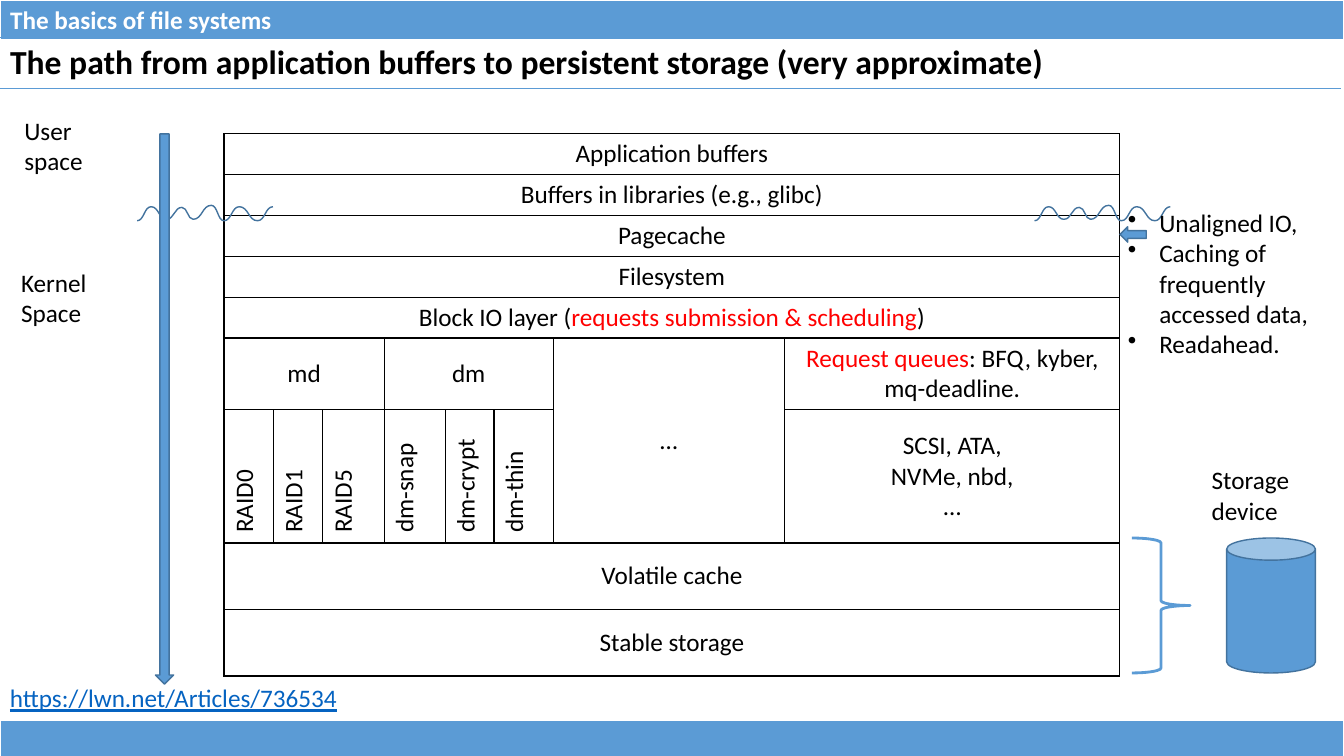
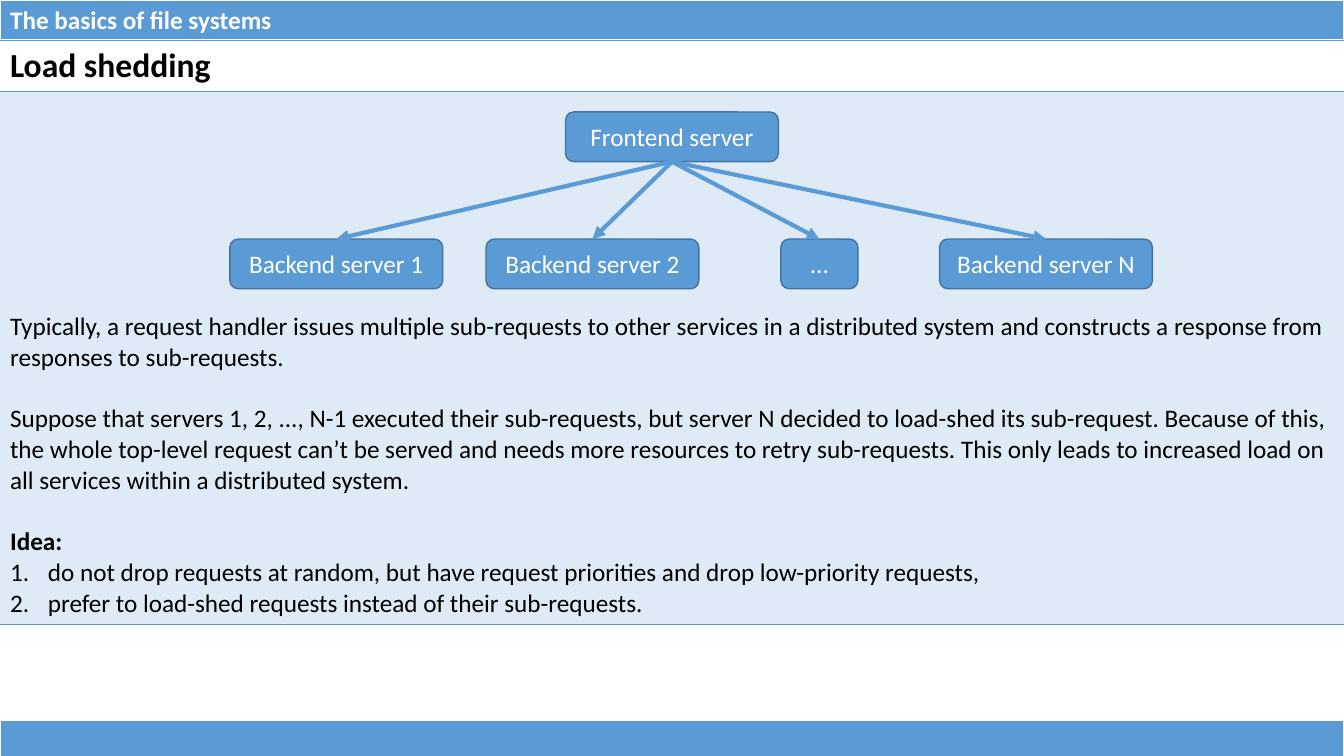
from lxml import etree
from pptx import Presentation
from pptx.dml.color import RGBColor
from pptx.enum.shapes import MSO_CONNECTOR, MSO_SHAPE
from pptx.enum.text import MSO_ANCHOR, PP_ALIGN
from pptx.oxml.ns import qn
from pptx.util import Pt

BLUE = RGBColor(0x5B, 0x9B, 0xD5)
DARK_BLUE = RGBColor(0x43, 0x73, 0x9E)
PALE_BLUE = RGBColor(0xDE, 0xEB, 0xF7)
LINK_BLUE = RGBColor(0x05, 0x63, 0xC1)
RED = RGBColor(0xFF, 0x00, 0x00)
BLACK = RGBColor(0x00, 0x00, 0x00)
WHITE = RGBColor(0xFF, 0xFF, 0xFF)

LEFT, CENTER = PP_ALIGN.LEFT, PP_ALIGN.CENTER
MIDDLE = MSO_ANCHOR.MIDDLE
CAN, BRACE = MSO_SHAPE.CAN, MSO_SHAPE.RIGHT_BRACE
DOWN_ARROW, LEFT_ARROW = MSO_SHAPE.DOWN_ARROW, MSO_SHAPE.LEFT_ARROW
ROUNDED, STRAIGHT = MSO_SHAPE.ROUNDED_RECTANGLE, MSO_CONNECTOR.STRAIGHT

FONT = "Calibri"
PLAIN_TABLE_STYLE = "{2D5ABB26-0587-4C30-8999-92F81FD0307C}"
WIDTH, HEIGHT = 960, 540
HEADER_HEIGHT, FOOTER_TOP, TITLE_HEIGHT = 29, 514.5, 36.5
RED_PHRASES = {"requests submission & scheduling", "Request queues"}


def write(frame, lines, size=18, color=BLACK, bold=False, align=LEFT):
    """Fill a text frame, one paragraph a line; "|" starts a new run."""
    for number, line in enumerate(lines):
        para = frame.add_paragraph() if number else frame.paragraphs[0]
        first, *others = line.split("|")
        para.text = first
        for other in others:
            para.add_run().text = other
        para.alignment = align
        for span in para.runs:
            span.font.name = FONT
            span.font.size = Pt(size)
            span.font.bold = bold
            span.font.color.rgb = RED if span.text in RED_PHRASES else color
    return frame.paragraphs


def add_grid(page, left, top, widths, heights, borders):
    """Add an unstyled table; borders maps each side to (colour, width)."""
    table = page.shapes.add_table(
        len(heights), len(widths), Pt(left), Pt(top), Pt(sum(widths)), Pt(sum(heights))
    ).table
    table.first_row = table.horz_banding = False
    table._tbl.tblPr.find(qn("a:tableStyleId")).text = PLAIN_TABLE_STYLE
    for column, width in zip(table.columns, widths):
        column.width = Pt(width)
    for row, height in zip(table.rows, heights):
        row.height = Pt(height)
    for cell in table.iter_cells():
        cell.margin_top = cell.margin_bottom = Pt(3.6)
        properties = cell._tc.get_or_add_tcPr()
        for side in "LRTB":
            if side in borders:
                color, width = borders[side]
                line = etree.SubElement(properties, qn("a:ln" + side), w=str(Pt(width)))
                fill = etree.SubElement(line, qn("a:solidFill"))
                etree.SubElement(fill, qn("a:srgbClr"), val=str(color))
    return table


deck = Presentation()
deck.slide_width, deck.slide_height = Pt(WIDTH), Pt(HEIGHT)
pages = [deck.slides.add_slide(deck.slide_layouts[6]) for _ in range(2)]
storage_page, shedding_page = pages

# Bands on every slide
for page in pages:
    sides = {side: (WHITE, 1) for side in "LRT"}
    header = add_grid(page, 0, 0, [WIDTH], [HEADER_HEIGHT], {**sides, "B": (WHITE, 3)})
    footer = add_grid(page, 0, FOOTER_TOP, [WIDTH], [HEIGHT - FOOTER_TOP], sides)
    for band in (header, footer):
        band.cell(0, 0).fill.solid()
        band.cell(0, 0).fill.fore_color.rgb = BLUE
    write(header.cell(0, 0).text_frame, ["The basics of file systems"], color=WHITE, bold=True)
    footer.cell(0, 0).margin_top = footer.cell(0, 0).margin_bottom = 0

title_rules = {"T": (BLUE, 1), "B": (BLUE, 1)}

# Slide 1: layers of the storage stack
layers = add_grid(
    storage_page, 160, 95.5,
    [35.3, 35.3, 43.9, 43.9, 34.5, 42.3, 165.4, 239.4],
    [29.2] * 5 + [51.2, 95.2, 47.5, 47.5],
    {side: (BLACK, 1) for side in "LRTB"},
)
# Row, column, row span, column span, text
layer_cells = [
    (0, 0, 1, 8, "Application buffers"),
    (1, 0, 1, 8, "Buffers in libraries (e.g., glibc)"),
    (2, 0, 1, 8, "Pagecache"),
    (3, 0, 1, 8, "Filesystem"),
    (4, 0, 1, 8, "Block IO layer (|requests submission & scheduling|)"),
    (5, 0, 1, 3, "md"),
    (5, 3, 1, 3, "dm"),
    (5, 6, 2, 1, "…"),
    (5, 7, 1, 1, "Request queues|: BFQ, kyber, mq-deadline."),
    (6, 7, 1, 1, "SCSI, ATA,\nNVMe, nbd,\n…"),
    (7, 0, 1, 8, "Volatile cache"),
    (8, 0, 1, 8, "Stable storage"),
]
for row, column, row_span, column_span, text in layer_cells:
    cell = layers.cell(row, column)
    if row_span * column_span > 1:
        cell.merge(layers.cell(row + row_span - 1, column + column_span - 1))
    cell.vertical_anchor = MIDDLE
    write(cell.text_frame, [text], align=CENTER)

drivers = ["RAID0", "RAID1", "RAID5", "dm-snap", "dm-crypt", "dm-thin"]
for column, driver in enumerate(drivers):
    cell = layers.cell(6, column)
    cell._tc.get_or_add_tcPr().set("vert", "vert270")
    write(cell.text_frame, [driver])

# Waves mark the border between user space and kernel space
wave_turns = [(0, 11), (10, 1), (21, 10), (32, 1.5), (40, 10),
              (53, 0), (62, 11), (73, 1), (86, 11), (97, 1)]
WAVE_TOP = 146.7
for wave_left in (98, 739):
    turns = [(Pt(wave_left + x), Pt(WAVE_TOP + y)) for x, y in wave_turns]
    builder = storage_page.shapes.build_freeform(*turns[0])
    builder.add_line_segments(turns[1:], close=False)
    wave = builder.convert_to_shape()
    wave.shadow.inherit = False
    wave.fill.background()
    wave.line.color.rgb = DARK_BLUE
    wave.line.width = Pt(1)
    # Turn each straight segment into a curve that is level at both ends
    ends = [(int(point.get("x")), int(point.get("y")))
            for point in wave._element.iter(qn("a:pt"))]
    segments = list(wave._element.iter(qn("a:lnTo")))
    for segment, (x1, y1), (x2, y2) in zip(segments, ends, ends[1:]):
        middle = (x1 + x2) // 2
        curve = etree.Element(qn("a:cubicBezTo"))
        for x, y in ((middle, y1), (middle, y2), (x2, y2)):
            etree.SubElement(curve, qn("a:pt"), x=str(x), y=str(y))
        segment.getparent().replace(segment, curve)

title = add_grid(storage_page, 0, 26.7, [957.6], [TITLE_HEIGHT], title_rules)
write(title.cell(0, 0).text_frame,
      ["The path from application buffers to persistent storage (very approximate)"],
      size=24, bold=True)

labels = [
    (10.3, 78.8, 136, 51, ["User\nspace"]),
    (8, 187.3, 139, 51, ["Kernel\nSpace"]),
    (858.4, 328.4, 98.6, 51, ["Storage\ndevice"]),
    (798.5, 144.6, 150, 117,
     ["Unaligned IO,", "Caching of\nfrequently\naccessed data,", "Readahead."]),
    (0, 484, 704, 29, ["https://lwn.net/Articles/736534"]),
]
label_paragraphs = []
for left, top, width, height, lines in labels:
    box = storage_page.shapes.add_textbox(Pt(left), Pt(top), Pt(width), Pt(height))
    box.text_frame.word_wrap = True
    label_paragraphs.append(write(box.text_frame, lines))
cache_notes, link_lines = label_paragraphs[-2:]
link_font = link_lines[0].runs[0].font
link_font.color.rgb = LINK_BLUE
link_font.underline = True

symbols = [
    (CAN, 876.2, 384.3, 63.4, 96.4),
    (BRACE, 808.5, 384.3, 41.6, 96.4),
    (DOWN_ARROW, 111, 95.7, 13, 393),
    (LEFT_ARROW, 800, 162, 18.8, 11),
]
for kind, left, top, width, height in symbols:
    symbol = storage_page.shapes.add_shape(kind, Pt(left), Pt(top), Pt(width), Pt(height))
    symbol.shadow.inherit = False
    if kind == BRACE:
        symbol.fill.background()
    else:
        symbol.fill.solid()
        symbol.fill.fore_color.rgb = BLUE
    symbol.line.color.rgb = BLUE if kind == BRACE else DARK_BLUE
    symbol.line.width = Pt(2 if kind == BRACE else 1)

# Slide 2: title and text under the server diagram
body = add_grid(shedding_page, 0, HEADER_HEIGHT, [WIDTH], [TITLE_HEIGHT, 380.5], title_rules)
write(body.cell(0, 0).text_frame, ["Load shedding"], size=24, bold=True)
text_cell = body.cell(1, 0)
text_cell.fill.solid()
text_cell.fill.fore_color.rgb = PALE_BLUE
text_cell.margin_top = Pt(157)
advice = write(text_cell.text_frame, [
    "Typically, a request handler issues multiple sub-requests to other services in a "
    "distributed system and constructs a response from responses to sub-requests.",
    "Suppose that servers 1, 2, ..., N-1 executed their sub-requests, but server N decided to "
    "load-shed its sub-request. Because of this, the whole top-level request can’t be served "
    "and needs more resources to retry sub-requests. This only leads to increased load on all "
    "services within a distributed system.",
    "Idea:",
    "do not drop requests at random, but have request priorities and drop low-priority requests,",
    "prefer to load-shed requests instead of their sub-requests.",
])
for para in advice[1:3]:
    para.space_before = Pt(22)
advice[2].runs[0].font.bold = True

servers = [
    ("Frontend server", 404, 80, 152),
    ("Backend server 1", 164.2, 170.8, 152),
    ("Backend server 2", 347.2, 170.8, 152),
    ("...", 557.8, 170.8, 55),
    ("Backend server N", 671.2, 170.8, 152),
]
server_boxes = []
for name, left, top, width in servers:
    box = shedding_page.shapes.add_shape(ROUNDED, Pt(left), Pt(top), Pt(width), Pt(35.5))
    box.shadow.inherit = False
    box.fill.solid()
    box.fill.fore_color.rgb = BLUE
    box.line.color.rgb = DARK_BLUE
    box.line.width = Pt(1)
    box.text_frame.vertical_anchor = MIDDLE
    write(box.text_frame, [name], color=WHITE, align=CENTER)
    server_boxes.append(box)

frontend, *backends = server_boxes
for backend in backends:
    arrow = shedding_page.shapes.add_connector(STRAIGHT, 0, 0, 0, 0)
    arrow.begin_connect(frontend, 2)
    arrow.end_connect(backend, 0)
    arrow.line.color.rgb = BLUE
    arrow.line.width = Pt(3)
    etree.SubElement(arrow.line._get_or_add_ln(), qn("a:tailEnd"), type="triangle")
    etree.SubElement(arrow._element.spPr, qn("a:effectLst"))

# Bulleted and numbered lists
lists = [
    (cache_notes, 22.5, "a:buChar", {"char": "•"}),
    (advice[3:], 27, "a:buAutoNum", {"type": "arabicPeriod"}),
]
for paragraphs, indent, tag, attributes in lists:
    for para in paragraphs:
        properties = para._p.get_or_add_pPr()
        properties.set("marL", str(Pt(indent)))
        properties.set("indent", str(-Pt(indent)))
        etree.SubElement(properties, qn(tag), attributes)

deck.save("out.pptx")
